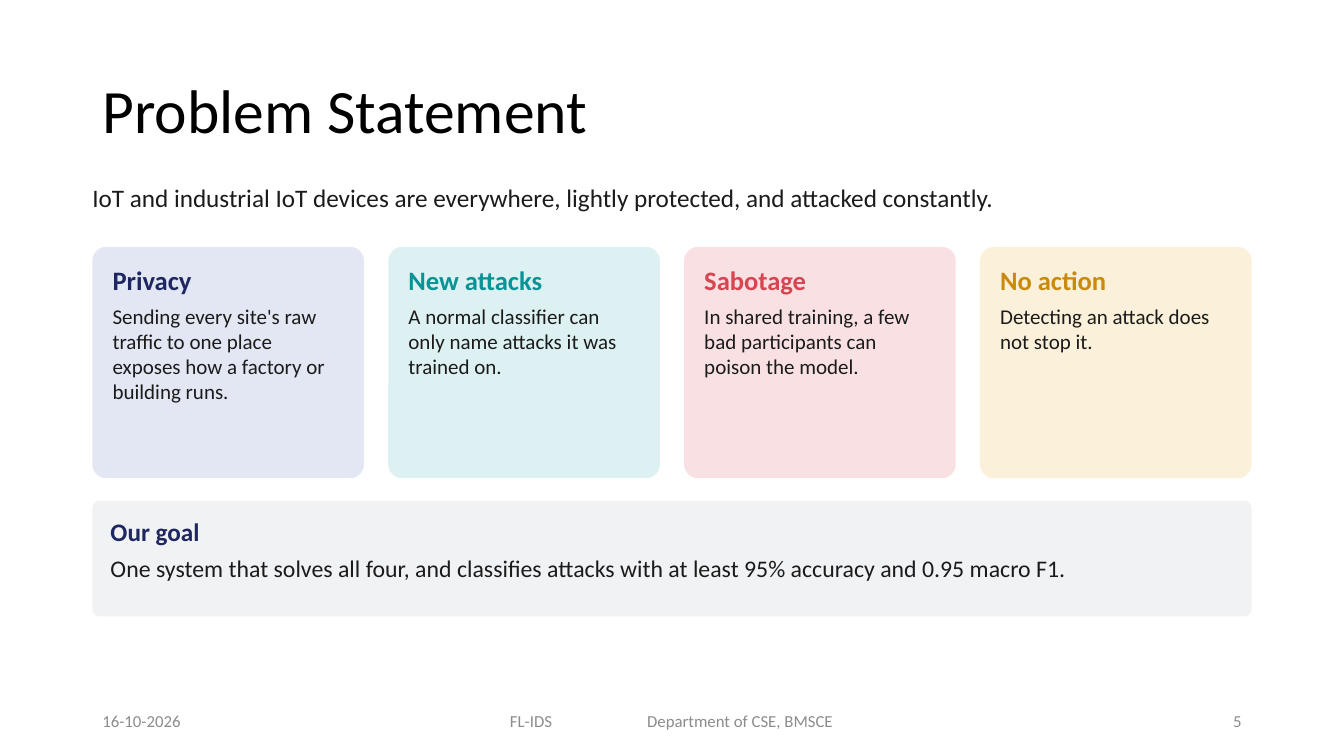
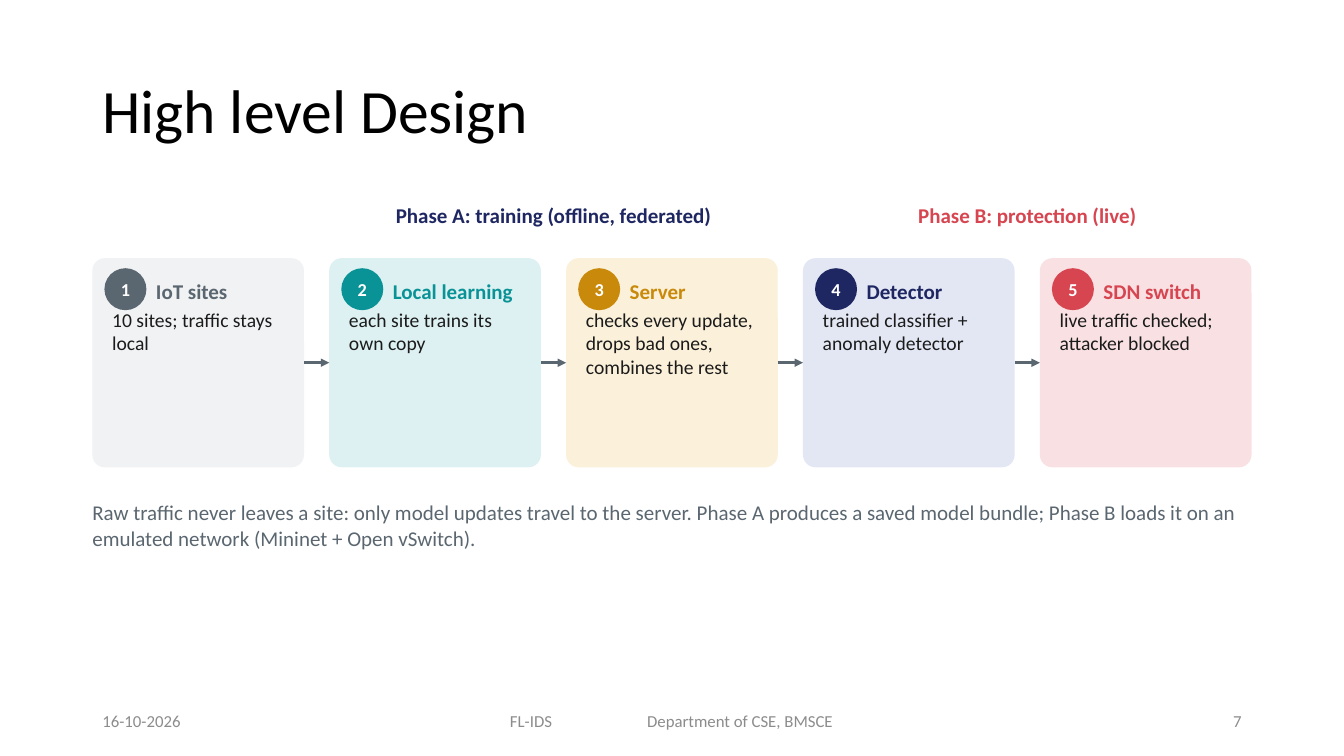
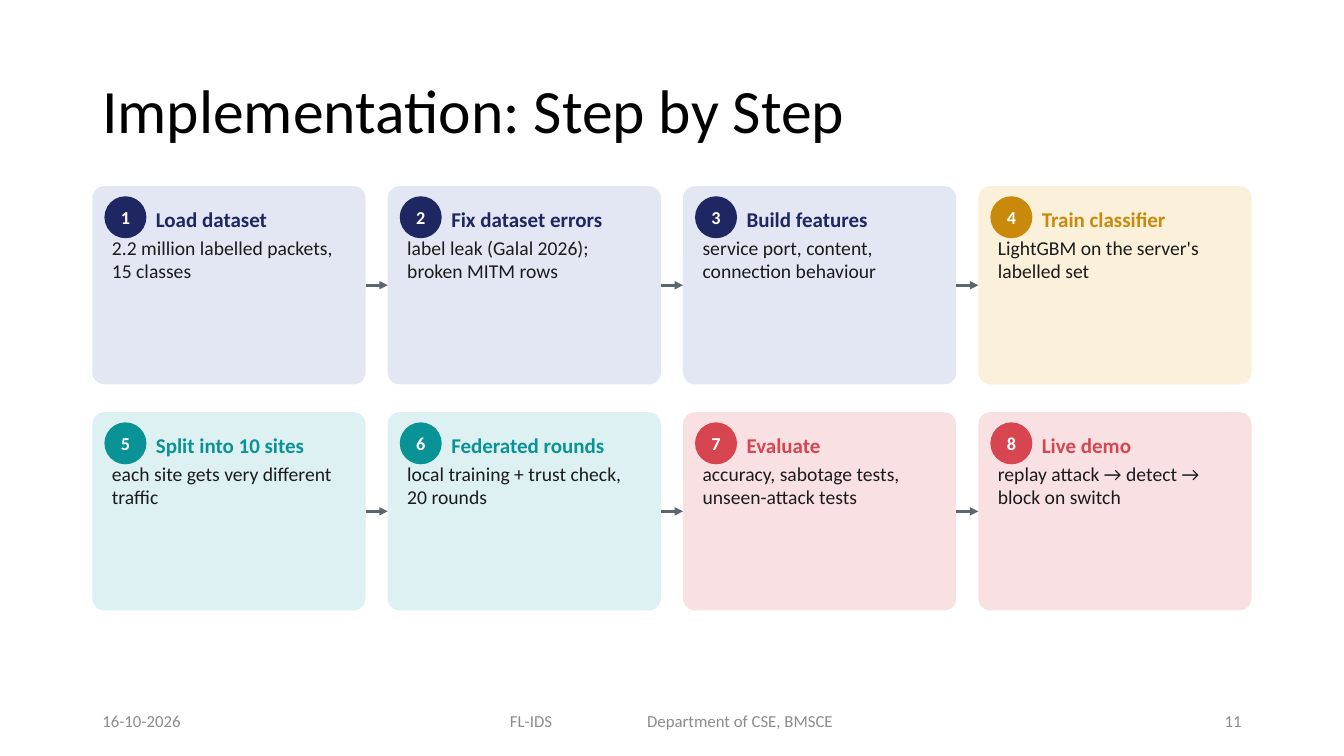
from collections import namedtuple
from dataclasses import dataclass

from lxml import etree
from pptx import Presentation
from pptx.dml.color import RGBColor
from pptx.enum import shapes, text
from pptx.oxml.ns import qn
from pptx.util import Pt

Box = namedtuple("Box", "left top width height")
Tone = namedtuple("Tone", "strong tint")
LEFT, CENTER, RIGHT = text.PP_ALIGN.LEFT, text.PP_ALIGN.CENTER, text.PP_ALIGN.RIGHT
TOP, MIDDLE = text.MSO_ANCHOR.TOP, text.MSO_ANCHOR.MIDDLE


@dataclass(frozen=True)
class Theme:
    font: str = "Calibri"
    black: str = "000000"
    white: str = "FFFFFF"
    ink: str = "1B1B1B"
    footer: str = "8C8C8C"
    navy: Tone = Tone("1E2761", "E3E7F4")
    teal: Tone = Tone("0A9396", "DDF1F2")
    red: Tone = Tone("D64550", "F9E1E3")
    gold: Tone = Tone("C98A0B", "FBF0D9")
    grey: Tone = Tone("5B6770", "F1F2F4")
    title_size: int = 44
    lead_size: int = 18
    card_title_size: int = 19
    label_size: int = 15
    goal_size: int = 17
    step_size: int = 14
    badge_size: int = 13
    footer_size: int = 12


THEME = Theme()
CONTENT = Box(66, 133, 828, 303)
FLUSH = (0, 3.6, 0, 3.6)
DEFAULT_INSETS = (7.2, 3.6, 7.2, 3.6)
CARD_INSETS = (11.5, 9.4, 11.5, 3.6)
STEP_INSETS = (11.5, 32.7, 11.5, 3.6)


def points(box):
    return [Pt(round(length, 2)) for length in box]


def set_frame(frame, insets=DEFAULT_INSETS, anchor=TOP):
    frame.word_wrap = True
    frame.vertical_anchor = anchor
    (frame.margin_left, frame.margin_top,
     frame.margin_right, frame.margin_bottom) = points(insets)


def write(frame, words, size, color, bold=False, align=LEFT, before=None, spacing=None, tab=None):
    """Fill the empty first paragraph of the frame, or add one after it."""
    para = frame.paragraphs[0]
    if para.runs:
        para = frame.add_paragraph()
    para.alignment = align
    if before is not None:
        para.space_before = Pt(before)
    if spacing is not None:
        para.line_spacing = spacing
    if tab is not None:
        stops = etree.SubElement(para._p.get_or_add_pPr(), qn("a:tabLst"))
        etree.SubElement(stops, qn("a:tab"), pos=str(Pt(tab)), algn="l")
    span = para.add_run()
    span.text = words
    span.font.name = THEME.font
    span.font.size = Pt(size)
    span.font.bold = bold
    span.font.color.rgb = RGBColor.from_string(color)


def add_label(page, box, words, size, color, insets=FLUSH, anchor=TOP, **form):
    frame = page.shapes.add_textbox(*points(box)).text_frame
    set_frame(frame, insets, anchor)
    write(frame, words, size, color, **form)


def add_filled(page, kind, box, fill):
    shape = page.shapes.add_shape(kind, *points(box))
    shape.shadow.inherit = False
    shape.fill.solid()
    shape.fill.fore_color.rgb = RGBColor.from_string(fill)
    shape.line.fill.background()
    return shape


def add_panel(page, box, tint, insets):
    panel = add_filled(page, shapes.MSO_SHAPE.ROUNDED_RECTANGLE, box, tint)
    panel.adjustments[0] = 0.06
    set_frame(panel.text_frame, insets)
    return panel


def add_card(page, box, tone, heading, body, heading_size, body_size, color):
    frame = add_panel(page, box, tone.tint, CARD_INSETS).text_frame
    write(frame, heading, heading_size, color, bold=True)
    write(frame, body, body_size, THEME.ink, before=5)


def add_step(page, box, number, tone, heading, body):
    """Card with a numbered badge beside its heading."""
    panel = add_panel(page, box, tone.tint, STEP_INSETS)
    write(panel.text_frame, body, THEME.step_size, THEME.ink)
    add_label(page, Box(box.left + 45.4, box.top + 5.8, box.width - 53.3, 35.3), heading,
              THEME.label_size, tone.strong, anchor=MIDDLE, bold=True)
    badge = add_filled(page, shapes.MSO_SHAPE.OVAL,
                       Box(box.left + 8.6, box.top + 7.2, 30, 30), tone.strong)
    set_frame(badge.text_frame, (0, 0, 0, 0), MIDDLE)
    write(badge.text_frame, str(number), THEME.badge_size, THEME.white, bold=True, align=CENTER)
    return panel


def add_arrow(page, source, target):
    arrow = page.shapes.add_connector(shapes.MSO_CONNECTOR.STRAIGHT, 0, 0, 0, 0)
    arrow.begin_connect(source, 3)
    arrow.end_connect(target, 1)
    arrow.line.color.rgb = RGBColor.from_string(THEME.grey.strong)
    arrow.line.width = Pt(2)
    etree.SubElement(arrow.line._get_or_add_ln(), qn("a:tailEnd"), type="triangle")
    etree.SubElement(arrow._element.spPr, qn("a:effectLst"))


def split_row(box, count, gap):
    width = (box.width - gap * (count - 1)) / count
    return [Box(box.left + i * (width + gap), box.top, width, box.height) for i in range(count)]


def add_step_row(page, box, gap, steps, first=1):
    cells = split_row(box, len(steps), gap)
    panels = [add_step(page, cell, number, *step)
              for number, (cell, step) in enumerate(zip(cells, steps), first)]
    for source, target in zip(panels, panels[1:]):
        add_arrow(page, source, target)
    return cells


def add_page(deck, title, number):
    """Blank page with the shared title and footer."""
    page = deck.slides.add_slide(deck.slide_layouts[6])
    add_label(page, Box(CONTENT.left, 28.8, CONTENT.width, 104.4), title, THEME.title_size,
              THEME.black, DEFAULT_INSETS, MIDDLE, spacing=0.9)
    footers = [
        (66, 216, "16-10-2026", DEFAULT_INSETS, {}),
        (318, 324, "FL-IDS\tDepartment of CSE, BMSCE", (46.3, 3.6, 7.2, 3.6), {"tab": 98}),
        (678, 216, str(number), DEFAULT_INSETS, {"align": RIGHT}),
    ]
    for left, width, words, insets, form in footers:
        add_label(page, Box(left, 500.5, width, 28.8), words, THEME.footer_size,
                  THEME.footer, insets, MIDDLE, **form)
    return page


def add_problem_page(deck):
    page = add_page(deck, "Problem Statement", 5)
    add_label(page, Box(CONTENT.left, 126.7, CONTENT.width, 39.6),
              "IoT and industrial IoT devices are everywhere, lightly protected, "
              "and attacked constantly.", THEME.lead_size, THEME.ink)
    problems = [
        (THEME.navy, "Privacy", "Sending every site's raw traffic to one place exposes "
                                "how a factory or building runs."),
        (THEME.teal, "New attacks", "A normal classifier can only name attacks it was trained on."),
        (THEME.red, "Sabotage", "In shared training, a few bad participants can poison the model."),
        (THEME.gold, "No action", "Detecting an attack does not stop it."),
    ]
    row = Box(CONTENT.left, 176.4, CONTENT.width, 165.2)
    for cell, (tone, heading, body) in zip(split_row(row, 4, 17.3), problems):
        add_card(page, cell, tone, heading, body, THEME.card_title_size,
                 THEME.label_size, tone.strong)
    add_card(page, Box(CONTENT.left, 357.8, CONTENT.width, 82.5), THEME.grey, "Our goal",
             "One system that solves all four, and classifies attacks with at least "
             "95% accuracy and 0.95 macro F1.", THEME.lead_size, THEME.goal_size,
             THEME.navy.strong)


def add_design_page(deck):
    page = add_page(deck, "High level Design", 7)
    steps = [
        (THEME.grey, "IoT sites", "10 sites; traffic stays local"),
        (THEME.teal, "Local learning", "each site trains its own copy"),
        (THEME.gold, "Server", "checks every update, drops bad ones, combines the rest"),
        (THEME.navy, "Detector", "trained classifier + anomaly detector"),
        (THEME.red, "SDN switch", "live traffic checked; attacker blocked"),
    ]
    row = Box(CONTENT.left, 184.4, CONTENT.width, 149.4)
    cells = add_step_row(page, row, 18, steps)
    phases = [
        (cells[0], cells[3], "Phase A: training (offline, federated)", THEME.navy),
        (cells[3], cells[4], "Phase B: protection (live)", THEME.red),
    ]
    for first, last, words, tone in phases:
        width = last.left + last.width - first.left
        add_label(page, Box(first.left, 141.2, width, 31.7), words, THEME.label_size,
                  tone.strong, bold=True, align=CENTER)
    add_label(page, Box(CONTENT.left, 353.5, CONTENT.width, 70.6),
              "Raw traffic never leaves a site: only model updates travel to the server. "
              "Phase A produces a saved model bundle; Phase B loads it on an emulated network "
              "(Mininet + Open vSwitch).", THEME.label_size, THEME.grey.strong)


def add_steps_page(deck):
    page = add_page(deck, "Implementation: Step by Step", 11)
    steps = [
        (THEME.navy, "Load dataset", "2.2 million labelled packets, 15 classes"),
        (THEME.navy, "Fix dataset errors", "label leak (Galal 2026); broken MITM rows"),
        (THEME.navy, "Build features", "service port, content, connection behaviour"),
        (THEME.gold, "Train classifier", "LightGBM on the server's labelled set"),
        (THEME.teal, "Split into 10 sites", "each site gets very different traffic"),
        (THEME.teal, "Federated rounds", "local training + trust check, 20 rounds"),
        (THEME.red, "Evaluate", "accuracy, sabotage tests, unseen-attack tests"),
        (THEME.red, "Live demo", "replay attack → detect → block on switch"),
    ]
    columns, row_gap = 4, 20
    height = (CONTENT.height - row_gap) / 2
    for start in range(0, len(steps), columns):
        top = CONTENT.top + start // columns * (height + row_gap)
        add_step_row(page, Box(CONTENT.left, top, CONTENT.width, height), 15.8,
                     steps[start:start + columns], start + 1)


def main():
    deck = Presentation()
    deck.slide_width, deck.slide_height = Pt(960), Pt(540)
    add_problem_page(deck)
    add_design_page(deck)
    add_steps_page(deck)
    deck.save("out.pptx")


if __name__ == "__main__":
    main()
